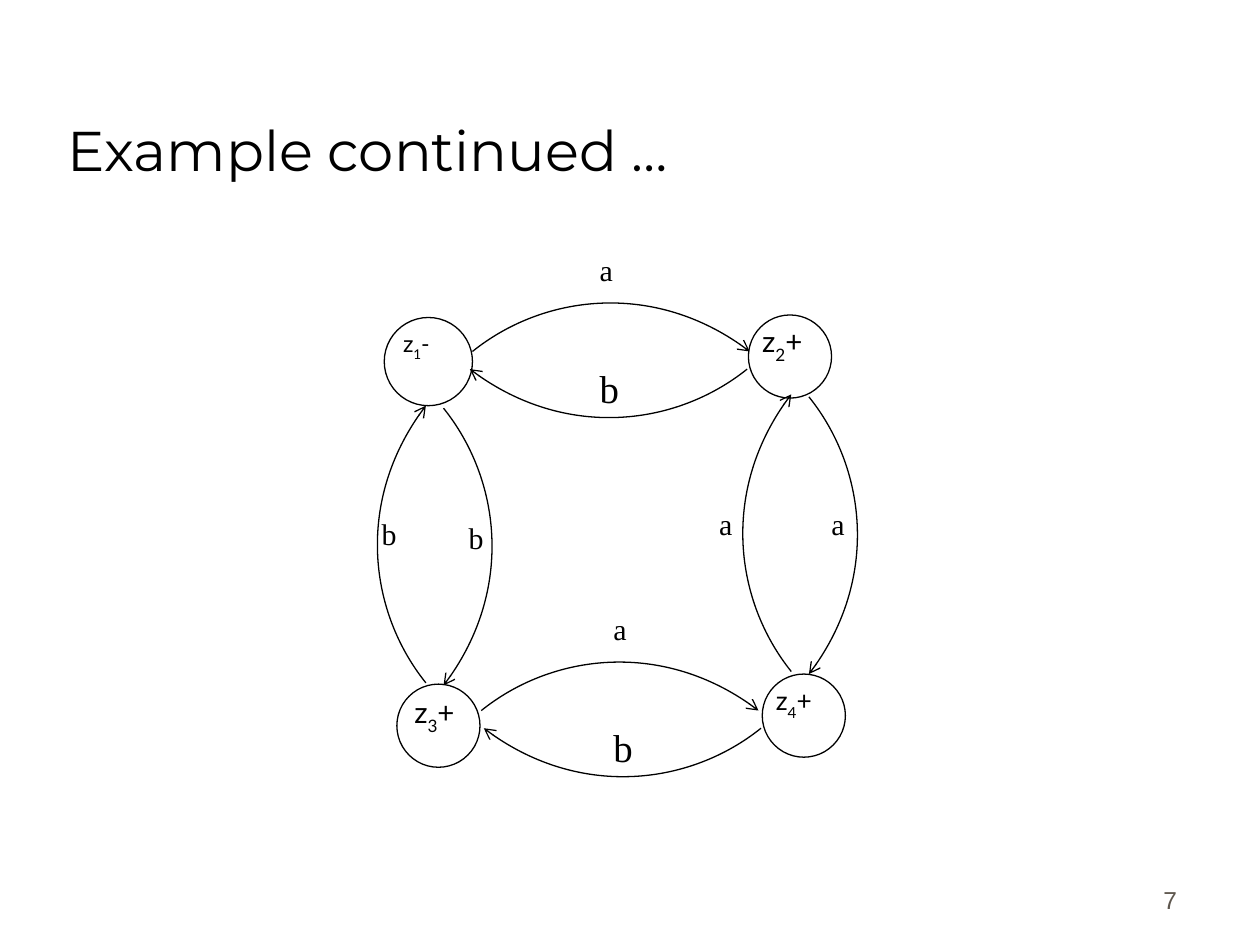
import pptx
import pptx.dml.color
import pptx.enum.shapes
import pptx.enum.text
import pptx.oxml
import pptx.oxml.ns
import pptx.util

BLACK = pptx.dml.color.RGBColor(0x00, 0x00, 0x00)
WHITE = pptx.dml.color.RGBColor(0xFF, 0xFF, 0xFF)
GREY = pptx.dml.color.RGBColor(0x5E, 0x57, 0x4E)

ALIGN = pptx.enum.text.PP_ALIGN
ANCHOR = pptx.enum.text.MSO_ANCHOR
COLUMNS, ROWS = 100, 75

# One transition arc in grid units: start, two control points, end
ARC_WIDTH, ARC_HEIGHT = 22, 5.6
ARC_POINTS = [(0, 5.6), (5.6, 1.1), (14.7, 0), (22, 5.6)]


class SlideBuilder:
    """Places styled elements on a grid of 100 columns by 75 rows."""

    def __init__(self, deck):
        self.slide = deck.slides.add_slide(deck.slide_layouts[6])
        self.column = deck.slide_width / COLUMNS
        self.row = deck.slide_height / ROWS

    def place(self, column, row):
        return round(column * self.column), round(row * self.row)

    def outline(self, shape):
        shape.shadow.inherit = False
        shape.line.color.rgb = BLACK
        shape.line.width = pptx.util.Pt(0.75)

    def text(self, left, top, width, height, runs, size, font, color=BLACK,
             spacing=None, align=ALIGN.LEFT, anchor=ANCHOR.TOP):
        """Add a one-line text box; runs are (wording, is_subscript) pairs."""
        box = self.slide.shapes.add_textbox(
            *self.place(left, top), *self.place(width, height))
        frame = box.text_frame
        frame.word_wrap = True
        frame.vertical_anchor = anchor
        para = frame.paragraphs[0]
        para.alignment = align
        para.line_spacing = spacing
        for wording, is_subscript in runs:
            span = para.add_run()
            span.text = wording
            span.font.size = pptx.util.Pt(size)
            span.font.name = font
            span.font.color.rgb = color
            if is_subscript:
                span.font._element.set("baseline", "-30000")

    def letter(self, left, top, wording, large=False):
        width, height, size, spacing = (
            (4.9, 5, 22.2, 0.9) if large else (4.1, 4, 17.1, 0.8))
        self.text(left, top, width, height, [(wording, False)], size,
                  "Times New Roman", spacing=spacing)

    def state(self, left, top, diameter):
        circle = self.slide.shapes.add_shape(
            pptx.enum.shapes.MSO_SHAPE.OVAL,
            *self.place(left, top), *self.place(diameter, diameter))
        circle.fill.solid()
        circle.fill.fore_color.rgb = WHITE
        self.outline(circle)

    def state_name(self, left, top, width, height, index, sign, size):
        self.text(left, top, width, height,
                  [("z", False), (index, True), (sign, False)],
                  size, "Lato", spacing=0.8)

    def arc(self, left, top, backward=False, rotation=0):
        """Add a curved arrow; backward turns the arc by half a circle."""
        points = [(ARC_WIDTH - x, ARC_HEIGHT - y) if backward else (x, y)
                  for x, y in ARC_POINTS]
        start, *others = [self.place(left + x, top + y) for x, y in points]
        builder = self.slide.shapes.build_freeform(*start)
        builder.add_line_segments(others, close=False)
        curve = builder.convert_to_shape()
        curve.fill.background()
        self.outline(curve)
        curve.rotation = rotation

        # Turn the three segments into one cubic curve
        segments = curve._element.xpath(".//a:lnTo")
        path = segments[0].getparent()
        bezier = pptx.oxml.parse_xml(
            f"<a:cubicBezTo {pptx.oxml.ns.nsdecls('a')}/>")
        for segment in segments:
            bezier.append(segment[0])
            path.remove(segment)
        path.append(bezier)

        # Open arrowhead at the end
        curve.line._get_or_add_ln().append(pptx.oxml.parse_xml(
            f"<a:tailEnd {pptx.oxml.ns.nsdecls('a')} type='arrow'/>"))


def main():
    deck = pptx.Presentation()
    deck.slide_width = pptx.util.Inches(10)
    deck.slide_height = pptx.util.Inches(7.5)
    page = SlideBuilder(deck)

    # Title and page number
    page.text(4.4, 2.5, 85, 12.5, [("Example continued …", False)], 32,
              "Montserrat", anchor=ANCHOR.BOTTOM)
    page.text(73.6, 68.1, 20.8, 5, [("7", False)], 14, "Arial", GREY,
              align=ALIGN.RIGHT, anchor=ANCHOR.BOTTOM)

    # States
    for left, top, diameter in [(30.5, 25.2, 7), (59.4, 25, 6.6),
                                (31.5, 54.3, 6.6), (60.5, 53.5, 6.6)]:
        page.state(left, top, diameter)

    # Transitions between left and right states
    for left, top in [(37.5, 22.3), (38.2, 50.8)]:
        page.arc(left, top)
    for left, top in [(37.3, 29.3), (38.4, 57.8)]:
        page.arc(left, top, backward=True)

    # Transitions between upper and lower states
    for left, top in [(20, 40.4), (49, 39.5)]:
        page.arc(left, top, backward=True, rotation=90)
        page.arc(left + 7, top + 0.2, rotation=90)

    # Transition letters
    for left, top in [(46.6, 20), (47.7, 48.5)]:
        page.letter(left, top, "a")
        page.letter(left, top + 8.9, "b", large=True)
    for left, top, wording in [(29.3, 41, "b"), (36.2, 41.3, "b"),
                               (56.1, 40.2, "a"), (65, 40.2, "a")]:
        page.letter(left, top, wording)

    # State names
    page.state_name(31, 25.8, 6.9, 4, "1", "-", 13.2)
    page.state_name(59.5, 25.4, 11.9, 4.4, "2", "+", 16.8)
    page.state_name(31.9, 54.8, 10.4, 4.4, "3", "+", 16.8)
    page.state_name(60.6, 54, 8.6, 4.2, "4", "+", 15)

    deck.save("out.pptx")


if __name__ == "__main__":
    main()
